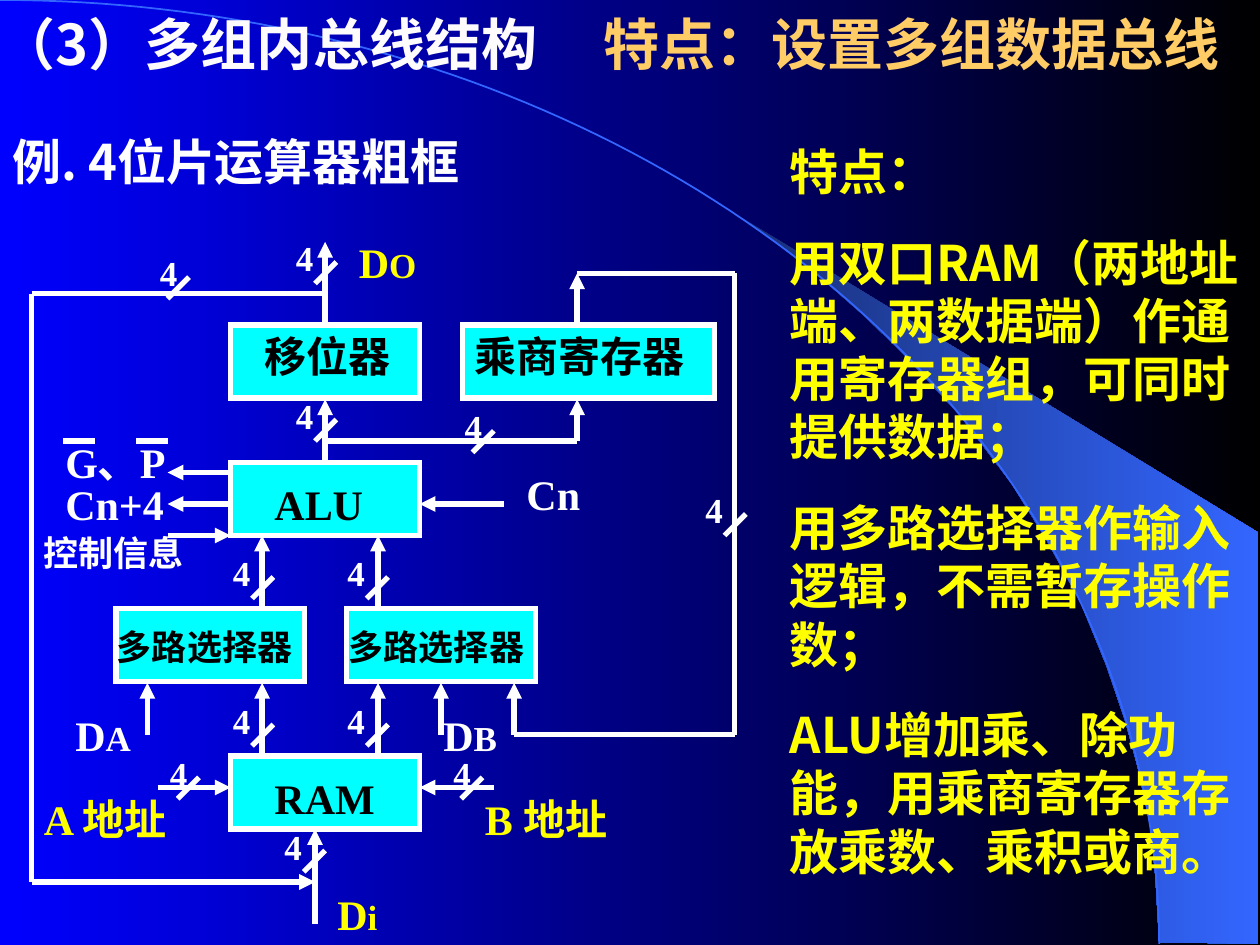
import math
from dataclasses import dataclass

import pptx
import pptx.dml.color
import pptx.enum.dml
import pptx.enum.shapes
import pptx.enum.text
import pptx.oxml
import pptx.oxml.ns
import pptx.util
from pptx.util import Inches


@dataclass(frozen=True)
class Theme:
    white: str = "FFFFFF"
    black: str = "000000"
    yellow: str = "FFFF00"
    orange: str = "FFCC66"
    title_white: str = "FDFBFB"
    cyan: str = "00FFFF"
    blue: str = "0000FF"
    arc_blue: str = "3366FF"
    wedge_dark: str = "182F76"
    sans: str = "Noto Sans CJK SC"
    serif: str = "Times New Roman"
    title: int = 32
    body: int = 28
    label: int = 24
    small: int = 20
    stroke: int = 3


theme = Theme()
rgb = pptx.dml.color.RGBColor.from_string
namespace = pptx.oxml.ns.nsdecls("a")


def add_text(left, top, width, height, paragraphs, font):
    """Add a text box; each paragraph is a list of (text, size, colour) runs."""
    box = page.shapes.add_textbox(Inches(left), Inches(top), Inches(width), Inches(height))
    frame = box.text_frame
    frame.word_wrap = True
    frame.auto_size = pptx.enum.text.MSO_AUTO_SIZE.NONE
    for index, runs in enumerate(paragraphs):
        para = frame.add_paragraph() if index else frame.paragraphs[0]
        para._p.get_or_add_pPr().set("hangingPunct", "0")
        if index:
            para.space_before = pptx.util.Pt(18.5)
        # Chinese lines get a fixed pitch, as the font's own is much taller
        if not runs[0][0].isascii():
            para.line_spacing = pptx.util.Pt(round(runs[0][1] * 1.19, 1))
        for text, size, color in runs:
            span = para.add_run()
            span.text = text
            span.font.size = pptx.util.Pt(size)
            span.font.bold = True
            span.font.name = font
            span.font.color.rgb = rgb(color)
            span.font._element.append(
                pptx.oxml.parse_xml(f'<a:ea {namespace} typeface="{theme.sans}"/>'))
    return box


def add_line(x1, y1, x2, y2, arrow=False):
    """Add a white bus line, with an arrowhead at its end if asked."""
    line = page.shapes.add_connector(
        pptx.enum.shapes.MSO_CONNECTOR.STRAIGHT, Inches(x1), Inches(y1), Inches(x2), Inches(y2))
    line.line.color.rgb = rgb(theme.white)
    line.line.width = pptx.util.Pt(theme.stroke)
    if arrow:
        line.line._get_or_add_ln().append(
            pptx.oxml.parse_xml(f'<a:tailEnd {namespace} type="triangle"/>'))
    line._element.spPr.append(pptx.oxml.parse_xml(f'<a:effectLst {namespace}/>'))


deck = pptx.Presentation()
deck.slide_width, deck.slide_height = Inches(10), Inches(7.5)
page = deck.slides.add_slide(deck.slide_layouts[6])

# Background, wedge and arc (outlines are drawn in whole EMU)
wedge_points = [
    (9.2, 7.48), (9.99, 7.49), (9.99, 4.23), (5.89, 1.73), (6.24, 1.99), (6.53, 2.22),
    (6.85, 2.5), (7.16, 2.8), (7.62, 3.3), (8.03, 3.84), (8.32, 4.31), (8.58, 4.79),
    (8.78, 5.28), (8.93, 5.72), (9.03, 6.09), (9.13, 6.56), (9.17, 6.96)]
angles = [math.radians(degree) for degree in range(0, 91)]
arc_points = [(9.2 * math.sin(angle), 7.49 * (1 - math.cos(angle))) for angle in angles]
outlines = []
for points, closed in ((wedge_points, True), (arc_points, False)):
    corners = [(Inches(x), Inches(y)) for x, y in points]
    builder = page.shapes.build_freeform(*corners[0], scale=1.0)
    builder.add_line_segments(corners[1:], close=closed)
    outline = builder.convert_to_shape()
    outline.shadow.inherit = False
    outlines.append(outline)
wedge, arc = outlines
wedge.line.fill.background()
arc.fill.background()
arc.line.color.rgb = rgb(theme.arc_blue)
arc.line.width = pptx.util.Pt(1)
for fill, start, end in ((page.background.fill, theme.blue, theme.black),
                         (wedge.fill, theme.wedge_dark, theme.arc_blue)):
    fill.gradient()
    fill.gradient_angle = 0
    for stop, color, position in zip(fill.gradient_stops, (start, end), (0, 1)):
        stop.color.rgb = rgb(color)
        stop.position = position

# Title, with a tab stop between its two parts
title = add_text(-0.1, 0.03, 10.12, 0.64, [[
    ("（3）多组内总线结构\t", theme.title, theme.title_white),
    ("特点：设置多组数据总线", theme.title, theme.orange)]], theme.sans)
title.text_frame.paragraphs[0]._p.get_or_add_pPr().append(pptx.oxml.parse_xml(
    f'<a:tabLst {namespace}><a:tab pos="{Inches(4.79)}" algn="l"/></a:tabLst>'))

# Features and example heading
features = [
    "特点：",
    "用双口RAM（两地址端、两数据端）作通用寄存器组，可同时提供数据；",
    "用多路选择器作输入逻辑，不需暂存操作数；",
    "ALU增加乘、除功能，用乘商寄存器存放乘数、乘积或商。"]
add_text(6.17, 1.08, 3.83, 5.97,
         [[(text, theme.body, theme.yellow)] for text in features], theme.sans)
add_text(0, 1, 4.5, 0.57, [[("例. 4位片运算器粗框", theme.body, theme.white)]], theme.sans)

# Units of the arithmetic unit
for left, top, width in ((1.83, 2.58, 1.5), (3.67, 2.58, 2), (1.83, 3.67, 1.5),
                         (0.92, 4.83, 1.5), (2.75, 4.83, 1.5), (1.83, 6, 1.5)):
    unit = page.shapes.add_shape(pptx.enum.shapes.MSO_SHAPE.RECTANGLE,
                                 Inches(left), Inches(top), Inches(width), Inches(0.58))
    unit.shadow.inherit = False
    unit.fill.solid()
    unit.fill.fore_color.rgb = rgb(theme.cyan)
    unit.line.color.rgb = rgb(theme.white)
    unit.line.width = pptx.util.Pt(theme.stroke)
    unit.line._get_or_add_ln().append(
        pptx.oxml.parse_xml(f'<a:miter {namespace} lim="800000"/>'))

# Arrows between units
for ends in ((0.25, 7, 2.5, 7), (2.5, 7.33, 2.5, 6.58),
             (4.58, 2.58, 4.58, 2.17), (4.58, 3.5, 4.58, 3.17),
             (2.58, 3.67, 2.58, 3.17), (2.58, 2.58, 2.58, 1.92),
             (2.08, 4.83, 2.08, 4.25), (3, 4.83, 3, 4.25),
             (2.08, 6, 2.08, 5.42), (3, 6, 3, 5.42),
             (1.17, 5.83, 1.17, 5.42), (3.5, 5.83, 3.5, 5.42), (4.08, 5.83, 4.08, 5.42),
             (4, 4, 3.33, 4), (3.92, 6.25, 3.33, 6.25), (1.25, 6.25, 1.83, 6.25),
             (1.83, 3.75, 1.33, 3.75), (1.83, 4, 1.33, 4), (1.33, 4.25, 1.83, 4.25)):
    add_line(*ends, arrow=True)

# Plain bus lines, then the bars over G and P
for ends in ((0.25, 2.33, 2.58, 2.33), (0.25, 2.33, 0.25, 7), (4.08, 5.83, 5.83, 5.83),
             (4.58, 2.17, 5.83, 2.17), (5.83, 2.17, 5.83, 5.83), (2.58, 3.5, 4.58, 3.5),
             (0.5, 3.5, 0.75, 3.5), (1.08, 3.5, 1.33, 3.5)):
    add_line(*ends)

# Unit names and signal labels
for left, top, width, text, size, color in (
        (2, 2.58, 1.67, "移位器", theme.label, theme.black),
        (3.67, 2.58, 2.25, "乘商寄存器", theme.label, theme.black),
        (2.08, 3.75, 1.67, "ALU", theme.label, theme.black),
        (0.83, 4.92, 2.25, "多路选择器", theme.small, theme.black),
        (2.67, 4.92, 2.25, "多路选择器", theme.small, theme.black),
        (2.08, 6.08, 1.5, "RAM", theme.label, theme.black),
        (0.25, 6.25, 1.42, "A 地址", theme.label, theme.yellow),
        (3.75, 6.25, 1.33, "B 地址", theme.label, theme.yellow),
        (4.08, 3.67, 0.75, "Cn", theme.label, theme.white),
        (0.42, 3.42, 1.33, "G、P", theme.label, theme.white),
        (0.42, 3.75, 1.17, "Cn+4", theme.label, theme.white),
        (0.25, 4.17, 1.67, "控制信息", theme.small, theme.white)):
    height = 0.5 if size == theme.label else 0.44
    add_text(left, top, width, height, [[(text, size, color)]], theme.serif)

# Data ports: a D with a smaller letter
for left, top, width, letter, color in (
        (2.75, 1.83, 0.67, "O", theme.yellow), (2.58, 7, 0.67, "i", theme.yellow),
        (3.42, 5.58, 0.75, "B", theme.white), (0.5, 5.58, 0.75, "A", theme.white)):
    runs = [("D", theme.label, color), (letter, theme.small, color)]
    add_text(left, top, width, 0.5, [runs], theme.serif)

# Bus widths: a slash and a 4, set further left on vertical buses
horizontal = [(1.5, 2.2), (3.92, 3.42), (1.58, 6.17), (3.83, 6.17)]
vertical = [(5.92, 4.08), (3.08, 4.58), (2.17, 4.58), (2.67, 3.33),
            (2.67, 2.08), (2.58, 6.75), (2.17, 5.75), (3.08, 5.75)]
for slashes, offset in ((horizontal, 0.33), (vertical, 0.42)):
    for x, y in slashes:
        add_line(x, y, x - 0.17, y + 0.17)
        add_text(x - offset, y - 0.25, 0.5, 0.44,
                 [[("4", theme.small, theme.white)]], theme.serif)

deck.save("out.pptx")
